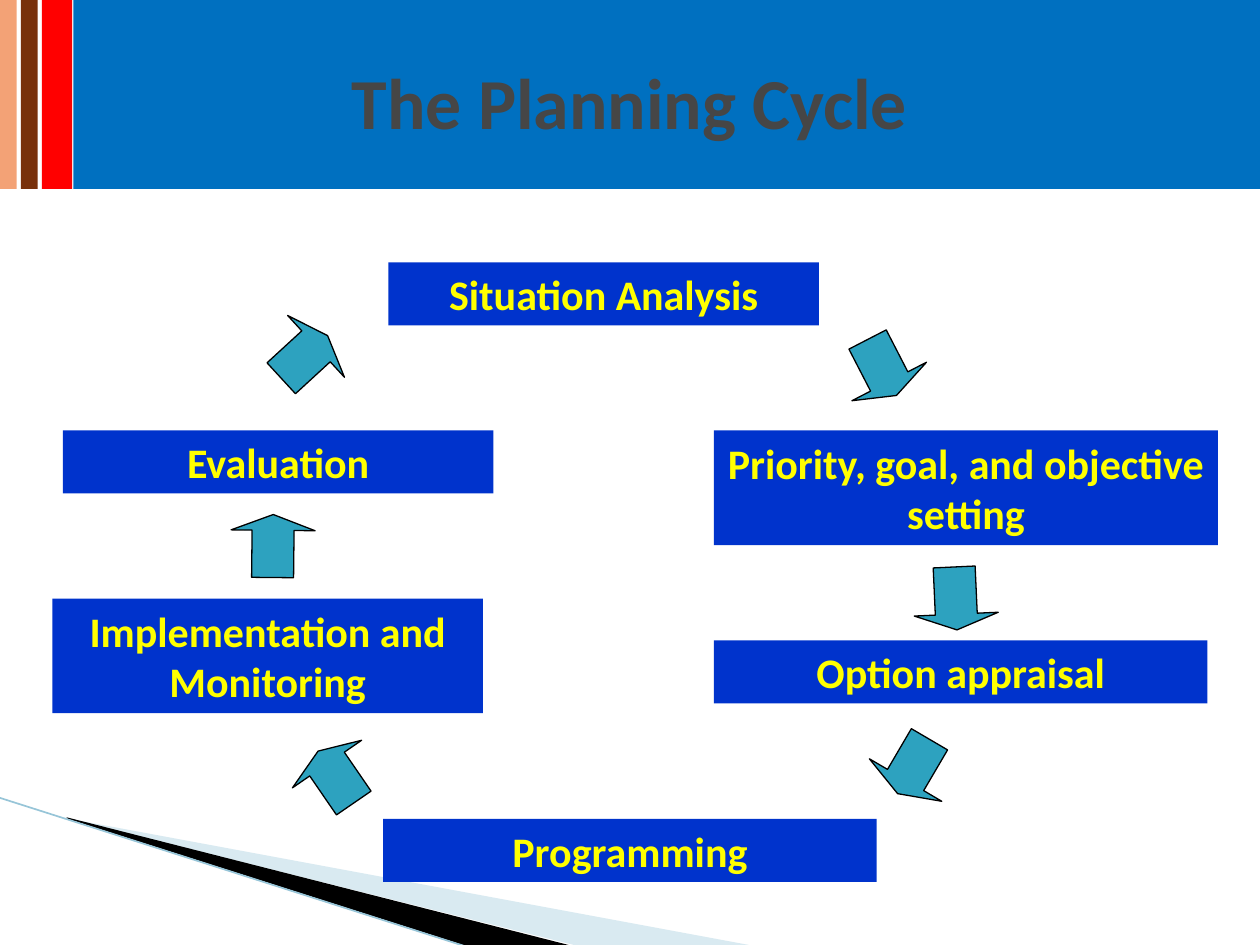
from lxml import etree
from pptx import Presentation
from pptx.dml.color import RGBColor
from pptx.enum.shapes import MSO_CONNECTOR, MSO_SHAPE
from pptx.enum.text import MSO_ANCHOR, PP_ALIGN
from pptx.oxml.ns import qn
from pptx.util import Pt

RECTANGLE = MSO_SHAPE.RECTANGLE
RIGHT_ARROW = MSO_SHAPE.RIGHT_ARROW
STRAIGHT = MSO_CONNECTOR.STRAIGHT
CENTER = PP_ALIGN.CENTER
MIDDLE = MSO_ANCHOR.MIDDLE


def paint(shape, fill, line=None):
    shape.shadow.inherit = False
    shape.fill.solid()
    shape.fill.fore_color.rgb = RGBColor.from_string(fill)
    if line:
        shape.line.color.rgb = RGBColor.from_string(line)
        shape.line.width = Pt(0.75)
    else:
        shape.line.fill.background()


def write(shape, text, size, color):
    """Put one centred bold line of Calibri in the shape and return its run."""
    frame = shape.text_frame
    frame.word_wrap = True
    frame.vertical_anchor = MIDDLE
    frame.text = text
    paragraph = frame.paragraphs[0]
    paragraph.alignment = CENTER
    run = paragraph.runs[0]
    run.font.name = "Calibri"
    run.font.size = Pt(size)
    run.font.bold = True
    run.font.color.rgb = RGBColor.from_string(color)
    return run


presentation = Presentation()
presentation.slide_width = Pt(720)
presentation.slide_height = Pt(540)
slide = presentation.slides.add_slide(presentation.slide_layouts[6])
shapes = slide.shapes

# Wedges and line in the lower left corner
wedges = [
    ("A0CBDC", [(39.6, 468.5), (428.4, 540.5), (328.5, 540.5), (39.6, 468)]),
    ("000000", [(38.2, 467.3), (329, 540.7), (267.8, 541.2), (38.9, 468)]),
]
for color, points in wedges:
    builder = shapes.build_freeform(*points[0], scale=Pt(1))
    builder.add_line_segments(points[1:], close=True)
    wedge = builder.convert_to_shape()
    paint(wedge, color)
    if color == "A0CBDC":
        fill_color = wedge.fill._xPr.find(qn("a:solidFill"))[0]
        etree.SubElement(fill_color, qn("a:alpha"), val="40000")

edge = shapes.add_connector(STRAIGHT, Pt(-0.5), Pt(455.8), Pt(267.3), Pt(541.2))
edge.line.color.rgb = RGBColor.from_string("97C5D8")
edge.line.width = Pt(0.95)
etree.SubElement(edge._element.spPr, qn("a:effectLst"))

# Stages of the cycle: text, left, top, width, height
stages = [
    ("Situation Analysis", 222, 150, 246, 36),
    ("Priority, goal, and objective setting", 408, 246, 288, 65.5),
    ("Option appraisal", 408, 366, 282, 36),
    ("Programming", 219, 468, 282, 36),
    ("Implementation and Monitoring", 30, 342, 246, 65.5),
    ("Evaluation", 36, 246, 246, 36),
]
for text, left, top, width, height in stages:
    stage = shapes.add_shape(RECTANGLE, Pt(left), Pt(top), Pt(width), Pt(height))
    paint(stage, "0033CC")
    write(stage, text, 24, "FFFF00")

# Arrows between the stages: left, top, rotation
arrows = [
    (486, 186, 62.7),
    (528, 318, 87.4),
    (504, 414, 120.4),
    (174, 420, 235.5),
    (138, 288, 270.6),
    (156, 180, 317.4),
]
for left, top, rotation in arrows:
    arrow = shapes.add_shape(RIGHT_ARROW, Pt(left), Pt(top), Pt(36), Pt(48))
    arrow.adjustments[0] = 0.5
    arrow.adjustments[1] = 0.25
    arrow.rotation = rotation
    paint(arrow, "2DA2BF", "000000")

# Title band with its stripes
bands = [
    (42, 678, "0070C0"),
    (24, 17.3, "FF0000"),
    (12, 9.5, "78310B"),
    (0, 9.5, "F3A276"),
]
for left, width, color in bands:
    band = shapes.add_shape(RECTANGLE, Pt(left), 0, Pt(width), Pt(108))
    paint(band, color)

title = shapes.add_textbox(Pt(54), Pt(0), Pt(612), Pt(115.2))
title_run = write(title, "The Planning Cycle", 41, "464646")
effects = etree.Element(qn("a:effectLst"))
shadow = etree.SubElement(
    effects, qn("a:outerShdw"), dist="38100", dir="2700000", algn="tl"
)
etree.SubElement(shadow, qn("a:srgbClr"), val="FFFFFF")
title_run.font._element.find(qn("a:solidFill")).addnext(effects)

presentation.save("out.pptx")
